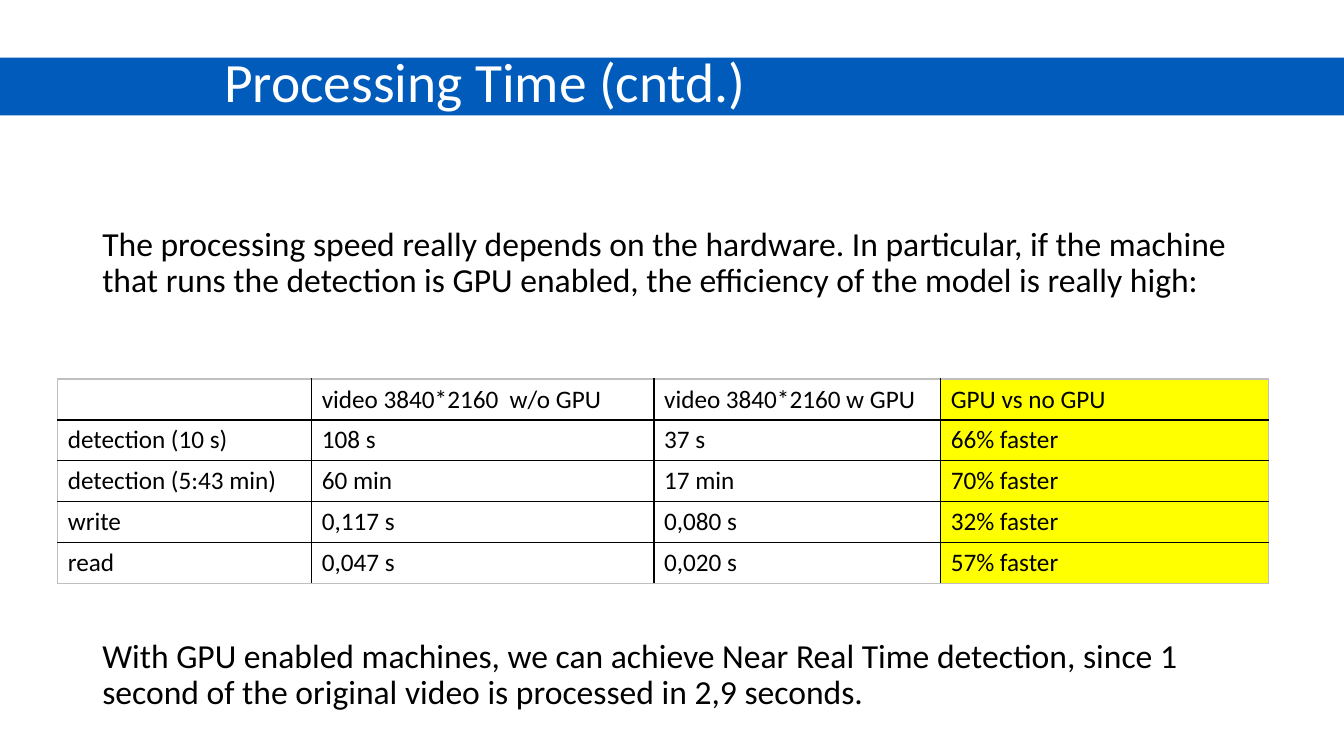
from lxml import etree
from pptx import Presentation
from pptx.dml.color import RGBColor
from pptx.enum.shapes import MSO_SHAPE
from pptx.enum.text import MSO_ANCHOR
from pptx.oxml.ns import qn
from pptx.util import Pt

PX = 9525
RECT = MSO_SHAPE.RECTANGLE
TOP, MIDDLE = MSO_ANCHOR.TOP, MSO_ANCHOR.MIDDLE
BLUE = RGBColor(0x00, 0x5B, 0xBB)
WHITE = RGBColor(0xFF, 0xFF, 0xFF)
BLACK = RGBColor(0x00, 0x00, 0x00)
GREY = RGBColor(0xBF, 0xBF, 0xBF)
YELLOW = RGBColor(0xFF, 0xFF, 0x00)

prs = Presentation()
prs.slide_width, prs.slide_height = 1280 * PX, 720 * PX
s = prs.slides.add_slide(prs.slide_layouts[6])


def write(tf, text, size=24, color=BLACK, spacing=1.0, anchor=TOP):
    tf.word_wrap = True
    tf.vertical_anchor = anchor
    p = tf.paragraphs[0]
    p.line_spacing = spacing
    p.font.size = Pt(size)
    if text:
        r = p.add_run()
        r.text = text
        r.font.name = "Calibri"
        r.font.size = Pt(size)
        r.font.color.rgb = color


def border(cell, side, color):
    ln = etree.SubElement(cell._tc.get_or_add_tcPr(), qn(f"a:{side}"), w=str(Pt(1)))
    fill = etree.SubElement(ln, qn("a:solidFill"))
    etree.SubElement(fill, qn("a:srgbClr"), val=str(color))


band = s.shapes.add_shape(RECT, 0, 55 * PX, 1280 * PX, 55 * PX)
band.shadow.inherit = False
band.fill.solid()
band.fill.fore_color.rgb = BLUE
band.line.fill.background()

title = s.shapes.add_textbox(204 * PX, 53 * PX, 1056 * PX, 55 * PX)
write(title.text_frame, "Processing Time (cntd.)", size=39.6, color=WHITE,
      spacing=0.9, anchor=MIDDLE)

paragraphs = [
    (212, "The processing speed really depends on the hardware. In particular, if the "
          "machine that runs the detection is GPU enabled, the efficiency of the model "
          "is really high:"),
    (604, "With GPU enabled machines, we can achieve Near Real Time detection, since 1 "
          "second of the original video is processed in 2,9 seconds."),
]
for y, text in paragraphs:
    box = s.shapes.add_textbox(88 * PX, y * PX, 1104 * PX, 97 * PX)
    write(box.text_frame, text, spacing=0.9)

rows = [
    ("", "video 3840*2160  w/o GPU", "video 3840*2160 w GPU", "GPU vs no GPU"),
    ("detection (10 s)", "108 s", "37 s", "66% faster"),
    ("detection (5:43 min)", "60 min", "17 min", "70% faster"),
    ("write", "0,117 s", "0,080 s", "32% faster"),
    ("read", "0,047 s", "0,020 s", "57% faster"),
]
widths = [242, 326, 273, 312]
row_h = 39
last_row, last_col = len(rows) - 1, len(widths) - 1
table = s.shapes.add_table(len(rows), len(widths), 55 * PX, 361 * PX,
                           sum(widths) * PX, len(rows) * row_h * PX).table
table.first_row = table.horz_banding = False
for col, width in zip(table.columns, widths):
    col.width = width * PX

for i, row in enumerate(rows):
    table.rows[i].height = row_h * PX
    for j, text in enumerate(row):
        cell = table.cell(i, j)
        write(cell.text_frame, text, size=18)
        outer = {"lnL": j == 0, "lnR": j == last_col, "lnT": i == 0, "lnB": i == last_row}
        for side, at_edge in outer.items():
            border(cell, side, GREY if at_edge else BLACK)
        cell.fill.solid()
        cell.fill.fore_color.rgb = YELLOW if j == last_col else WHITE

prs.save("out.pptx")
